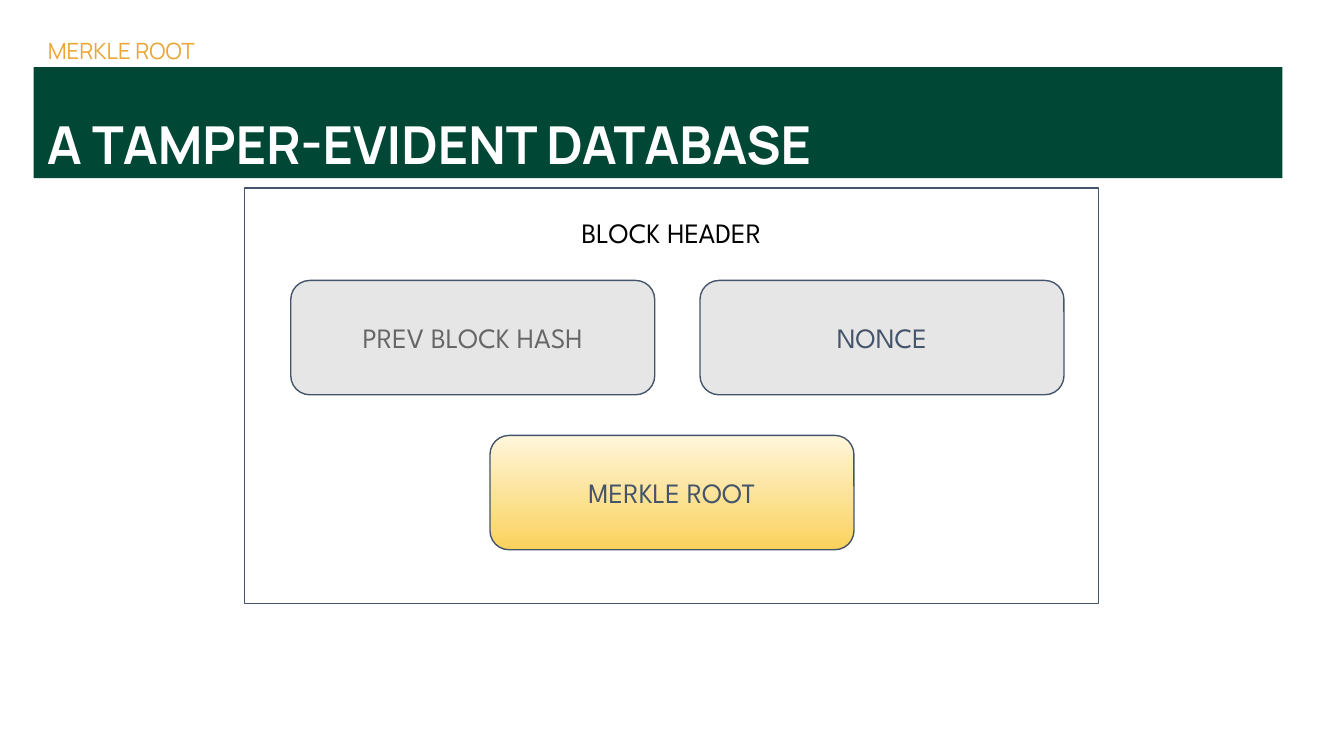
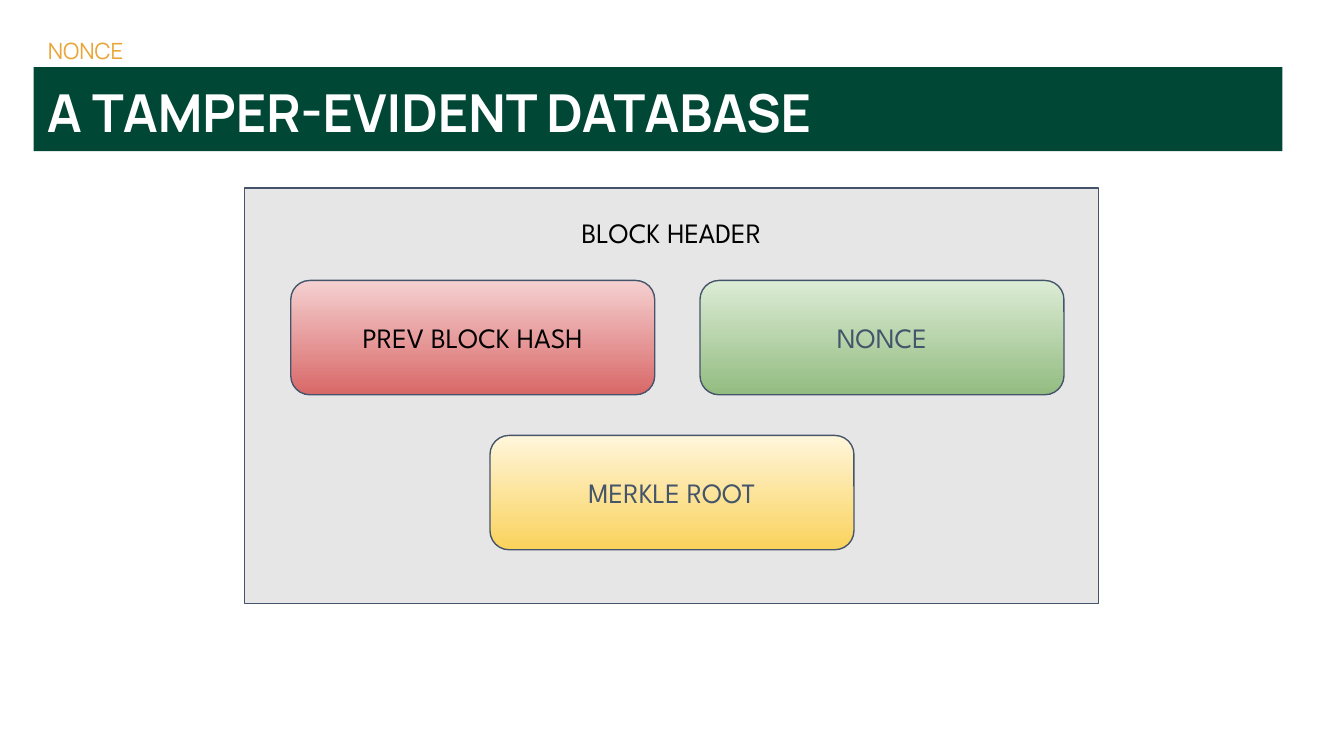
from dataclasses import dataclass

from pptx import Presentation
from pptx import util as u
from pptx.dml.color import RGBColor
from pptx.enum import shapes, text
from pptx.shapes.autoshape import Shape
from pptx.slide import Slide

Pt = u.Pt


@dataclass(frozen=True)
class Gradient:
    top: str
    bottom: str


@dataclass(frozen=True)
class Theme:
    heading_font: str = "Manrope"
    label_font: str = "League Spartan"
    kicker_size: int = 12
    title_size: int = 28
    label_size: int = 15
    green: str = "004735"
    orange: str = "EAA536"
    white: str = "FFFFFF"
    black: str = "000000"
    slate: str = "44546A"
    mid_gray: str = "666666"
    light_gray: str = "E7E6E6"
    red_fade: Gradient = Gradient("F5D0D0", "D96868")
    green_fade: Gradient = Gradient("DCECD5", "93BC81")
    yellow_fade: Gradient = Gradient("FFF6DB", "FAD25C")


THEME = Theme()
Fill = str | Gradient | None


@dataclass(frozen=True)
class Field:
    """One labelled field of the block header."""
    label: str
    fill: Fill
    color: str = THEME.slate


@dataclass(frozen=True)
class HeaderSlide:
    kicker: str
    band_height: float
    title_spacing: float
    frame_fill: Fill
    fields: tuple[Field, Field, Field]


MERKLE_FIELD = Field("MERKLE ROOT", THEME.yellow_fade)
SLIDES = (
    HeaderSlide("MERKLE ROOT", 59.5, 1.5, None, (
        Field("PREV BLOCK HASH", THEME.light_gray, THEME.mid_gray),
        Field("NONCE", THEME.light_gray),
        MERKLE_FIELD)),
    HeaderSlide("NONCE", 45, 1, THEME.light_gray, (
        Field("PREV BLOCK HASH", THEME.red_fade, THEME.black),
        Field("NONCE", THEME.green_fade),
        MERKLE_FIELD)),
)

BAND_LEFT, BAND_TOP, BAND_WIDTH = 18, 36, 669
FRAME_LEFT, FRAME_TOP, FRAME_WIDTH, FRAME_HEIGHT = 131, 100.75, 457.5, 222.5
FIELD_WIDTH, FIELD_HEIGHT = 195, 61.25
FIELD_POSITIONS = ((155.75, 150.25), (375, 150.25), (262.5, 233.25))
HEADING_INSET, LABEL_INSET, CAPTION_INSET = 7.2, 3, 14.5


def write(box: Shape, words: str, font: str, size: float, color: str,
          inset: float, bold: bool = False, spacing: float = 1,
          align: text.PP_ALIGN = text.PP_ALIGN.LEFT,
          anchor: text.MSO_ANCHOR = text.MSO_ANCHOR.TOP) -> None:
    frame = box.text_frame
    frame.word_wrap = True
    frame.vertical_anchor = anchor
    frame.margin_left = frame.margin_right = Pt(inset)
    frame.margin_top = frame.margin_bottom = Pt(inset)
    para = frame.paragraphs[0]
    para.text = words
    para.alignment = align
    para.line_spacing = float(spacing)
    para.font.name = font
    para.font.size = Pt(size)
    para.font.bold = bold
    para.font.color.rgb = RGBColor.from_string(color)


def paint(shape: Shape, fill: Fill) -> None:
    if fill is None:
        shape.fill.background()
    elif isinstance(fill, Gradient):
        shape.fill.gradient()
        shape.fill.gradient_angle = 270
        for stop, color in zip(shape.fill.gradient_stops, (fill.top, fill.bottom)):
            stop.color.rgb = RGBColor.from_string(color)
    else:
        shape.fill.solid()
        shape.fill.fore_color.rgb = RGBColor.from_string(fill)


def add_panel(page: Slide, kind: shapes.MSO_SHAPE, left: float, top: float,
              width: float, height: float, fill: Fill, outline: str | None) -> Shape:
    panel = page.shapes.add_shape(kind, Pt(left), Pt(top), Pt(width), Pt(height))
    panel.shadow.inherit = False
    paint(panel, fill)
    if outline:
        panel.line.color.rgb = RGBColor.from_string(outline)
        panel.line.width = Pt(0.75)
    else:
        panel.line.fill.background()
    return panel


def add_heading(page: Slide, content: HeaderSlide) -> None:
    kicker = page.shapes.add_textbox(Pt(18.5), Pt(15), Pt(BAND_WIDTH), Pt(31))
    write(kicker, content.kicker, THEME.heading_font, THEME.kicker_size,
          THEME.orange, HEADING_INSET, spacing=0.9)
    band = add_panel(page, shapes.MSO_SHAPE.RECTANGLE, BAND_LEFT, BAND_TOP,
                     BAND_WIDTH, content.band_height, THEME.green, None)
    write(band, "A TAMPER-EVIDENT DATABASE", THEME.heading_font, THEME.title_size,
          THEME.white, HEADING_INSET, bold=True, spacing=content.title_spacing)


def add_block_header(page: Slide, content: HeaderSlide) -> None:
    frame = add_panel(page, shapes.MSO_SHAPE.RECTANGLE, FRAME_LEFT, FRAME_TOP,
                      FRAME_WIDTH, FRAME_HEIGHT, content.frame_fill, THEME.slate)
    write(frame, "BLOCK HEADER", THEME.label_font, THEME.label_size, THEME.black,
          CAPTION_INSET, align=text.PP_ALIGN.CENTER)
    for field, (left, top) in zip(content.fields, FIELD_POSITIONS):
        box = add_panel(page, shapes.MSO_SHAPE.ROUNDED_RECTANGLE, left, top,
                        FIELD_WIDTH, FIELD_HEIGHT, field.fill, THEME.slate)
        write(box, field.label, THEME.label_font, THEME.label_size, field.color,
              LABEL_INSET, align=text.PP_ALIGN.CENTER, anchor=text.MSO_ANCHOR.MIDDLE)


def main() -> None:
    deck = Presentation()
    deck.slide_width, deck.slide_height = Pt(720), Pt(405)
    blank = deck.slide_layouts[6]
    for content in SLIDES:
        page = deck.slides.add_slide(blank)
        add_heading(page, content)
        add_block_header(page, content)
    deck.save("out.pptx")


if __name__ == "__main__":
    main()
